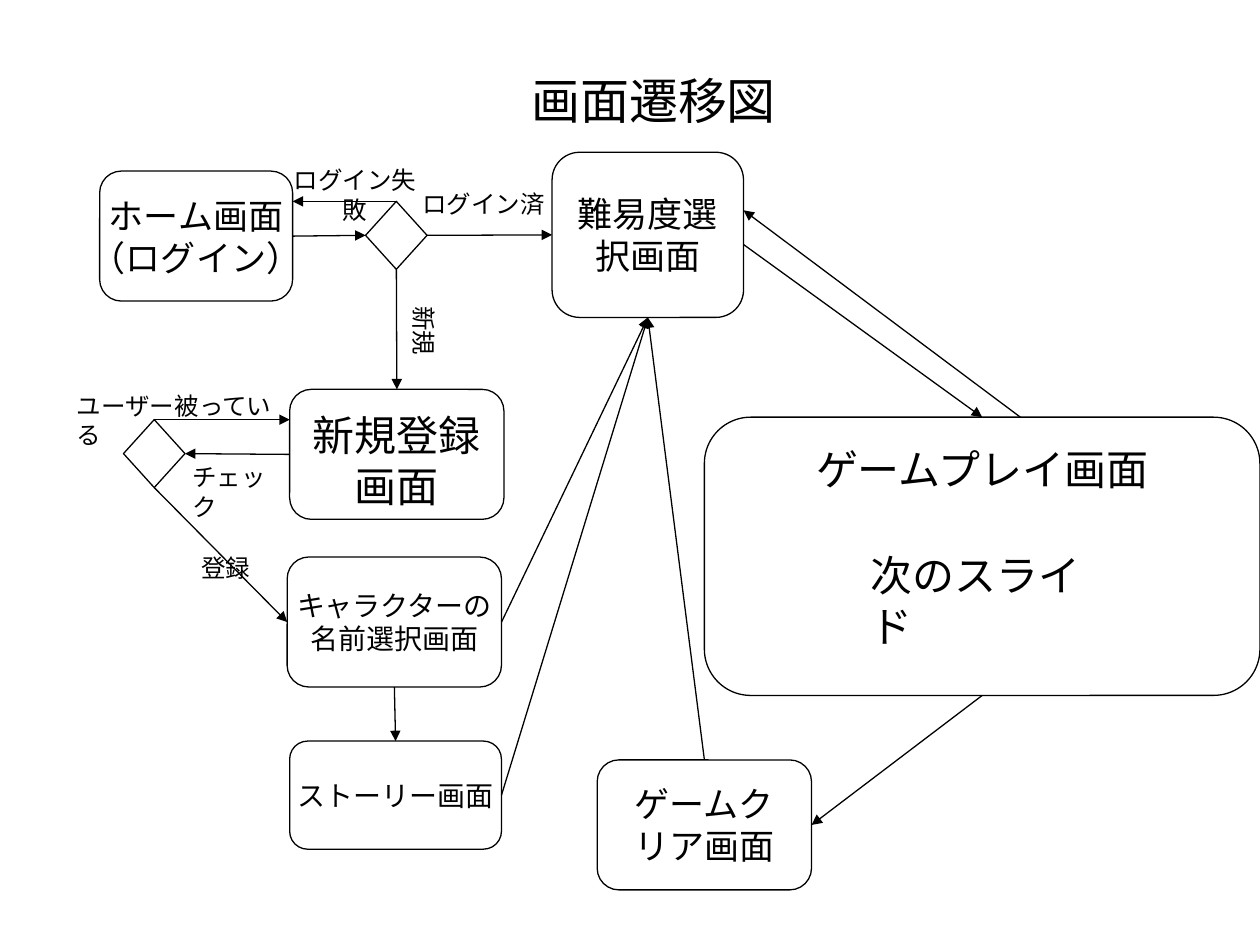
from typing import NamedTuple, Union

import pptx
import pptx.dml.color
import pptx.enum.shapes
import pptx.enum.text
import pptx.oxml
import pptx.oxml.ns
import pptx.util
from pptx.util import Cm

INK = "000000"
FONT = "Times New Roman"
ROUNDED = pptx.enum.shapes.MSO_SHAPE.ROUNDED_RECTANGLE
DIAMOND = pptx.enum.shapes.MSO_SHAPE.DIAMOND
ALIGN = pptx.enum.text.PP_ALIGN
ANCHOR = pptx.enum.text.MSO_ANCHOR
TOP, LEFT, BOTTOM, RIGHT = range(4)


class Area(NamedTuple):
    """Position and size in centimetres."""
    left: float
    top: float
    width: float
    height: float


class Screen(NamedTuple):
    area: Area
    text: str
    size: int
    wrap: bool = False
    anchor: ANCHOR = ANCHOR.MIDDLE
    side_inset: float = 0.25
    top_inset: float = 0.13


class Label(NamedTuple):
    area: Area
    text: str
    size: int = 14
    align: ALIGN = ALIGN.LEFT
    rotation: int = 0


class Joint(NamedTuple):
    """Middle of one side of a named node."""
    node: str
    side: int


class Point(NamedTuple):
    x: float
    y: float


class Link(NamedTuple):
    start: Union[Joint, Point]
    end: Union[Joint, Point]


SCREENS = {
    "home": Screen(Area(2.01, 3.45, 3.89, 2.62), "ホーム画面\n（ログイン）", 20),
    "difficulty": Screen(Area(11.13, 3.07, 3.86, 3.33), "難易度選択画面", 20, wrap=True),
    "register": Screen(Area(5.84, 7.85, 4.32, 2.62), "新規登録\n画面", 24, top_inset=0.36),
    "character": Screen(Area(5.79, 11.23, 4.32, 2.62), "キャラクターの\n名前選択画面", 16),
    "story": Screen(Area(5.84, 14.94, 4.27, 2.18), "ストーリー画面", 16),
    "play": Screen(Area(14.2, 8.41, 11.2, 5.61), "ゲームプレイ画面", 24, wrap=True,
                   anchor=ANCHOR.TOP, top_inset=0.25),
    "clear": Screen(Area(12.04, 15.32, 4.32, 2.62), "ゲームクリア画面", 20, wrap=True,
                    side_inset=0.5),
}
DECISIONS = {
    "login": Area(7.37, 4.06, 1.24, 1.37),
    "check": Area(2.49, 8.46, 1.24, 1.37),
}
LINKS = [
    Link(Joint("home", RIGHT), Joint("login", LEFT)),
    Link(Joint("login", TOP), Point(5.9, 4.06)),
    Link(Joint("login", RIGHT), Joint("difficulty", LEFT)),
    Link(Joint("login", BOTTOM), Joint("register", TOP)),
    Link(Joint("register", LEFT), Joint("check", RIGHT)),
    Link(Joint("check", TOP), Point(5.84, 8.46)),
    Link(Joint("check", BOTTOM), Joint("character", LEFT)),
    Link(Joint("character", BOTTOM), Joint("story", TOP)),
    Link(Joint("character", RIGHT), Joint("difficulty", BOTTOM)),
    Link(Joint("story", RIGHT), Joint("difficulty", BOTTOM)),
    Link(Joint("clear", TOP), Joint("difficulty", BOTTOM)),
    Link(Point(14.99, 4.93), Joint("play", TOP)),
    Link(Point(20.57, 8.41), Point(14.99, 4.24)),
    Link(Joint("play", BOTTOM), Joint("clear", RIGHT)),
]
LABELS = [
    Label(Area(5.51, 3.2, 3.3, 1.45), "ログイン失敗", align=ALIGN.CENTER),
    Label(Area(8.2, 3.68, 3.1, 0.86), "ログイン済", align=ALIGN.CENTER),
    Label(Area(7.72, 6.32, 1.65, 0.86), "新規", rotation=90),
    Label(Area(1.3, 7.75, 4.72, 1.45), "ユーザー被っている"),
    Label(Area(3.63, 9.19, 2.08, 1.45), "チェック"),
    Label(Area(3.81, 11.02, 1.8, 0.86), "登録"),
    Label(Area(17.3, 10.95, 5, 2.29), "次のスライド", size=24),
]


def color(value: str) -> pptx.dml.color.RGBColor:
    return pptx.dml.color.RGBColor.from_string(value)


def lengths(area: Area) -> list:
    return [Cm(value) for value in area]


def write(shape, text: str, *, size: int, align=ALIGN.LEFT, anchor=ANCHOR.TOP,
          wrap: bool = True, side_inset: float = 0.25, top_inset: float = 0.13) -> None:
    frame = shape.text_frame
    frame.text = text
    frame.auto_size = pptx.enum.text.MSO_AUTO_SIZE.NONE
    frame.word_wrap = wrap
    frame.vertical_anchor = anchor
    frame.margin_left = frame.margin_right = Cm(side_inset)
    frame.margin_top, frame.margin_bottom = Cm(top_inset), Cm(0.13)
    for paragraph in frame.paragraphs:
        paragraph.alignment = align
        paragraph.font.name = FONT
        paragraph.font.size = pptx.util.Pt(size)
        paragraph.font.color.rgb = color(INK)


def add_outline(slide, kind, area: Area):
    """Add an unfilled shape with a thin outline."""
    shape = slide.shapes.add_shape(kind, *lengths(area))
    shape.shadow.inherit = False
    shape.fill.background()
    shape.line.color.rgb = color(INK)
    shape.line.width = pptx.util.Pt(0.75)
    return shape


def add_screen(slide, screen: Screen):
    shape = add_outline(slide, ROUNDED, screen.area)
    write(shape, screen.text, size=screen.size, align=ALIGN.CENTER, anchor=screen.anchor,
          wrap=screen.wrap, side_inset=screen.side_inset, top_inset=screen.top_inset)
    return shape


def add_label(slide, label: Label) -> None:
    box = slide.shapes.add_textbox(*lengths(label.area))
    box.rotation = label.rotation
    write(box, label.text, size=label.size, align=label.align)


def add_link(slide, link: Link, nodes: dict) -> None:
    arrow = slide.shapes.add_connector(pptx.enum.shapes.MSO_CONNECTOR.STRAIGHT, 0, 0, 0, 0)
    if isinstance(link.start, Joint):
        arrow.begin_connect(nodes[link.start.node], link.start.side)
    else:
        arrow.begin_x, arrow.begin_y = Cm(link.start.x), Cm(link.start.y)
    if isinstance(link.end, Joint):
        arrow.end_connect(nodes[link.end.node], link.end.side)
    else:
        arrow.end_x, arrow.end_y = Cm(link.end.x), Cm(link.end.y)
    arrow.line.color.rgb = color(INK)
    arrow.line.width = pptx.util.Pt(0.75)
    head = pptx.oxml.parse_xml(
        f'<a:tailEnd {pptx.oxml.ns.nsdecls("a")} type="triangle" w="med" len="med"/>')
    arrow.line._get_or_add_ln().append(head)
    properties = arrow._element.spPr
    properties.append(pptx.oxml.parse_xml(f'<a:effectLst {pptx.oxml.ns.nsdecls("a")}/>'))


def main() -> None:
    deck = pptx.Presentation()
    deck.slide_width, deck.slide_height = Cm(25.4), Cm(19.05)
    slide = deck.slides.add_slide(deck.slide_layouts[5])

    title = slide.shapes.title
    title.left, title.top, title.width, title.height = lengths(Area(10.46, 1.3, 6.6, 1.45))
    write(title, "画面遷移図", size=28)

    nodes = {name: add_screen(slide, screen) for name, screen in SCREENS.items()}
    for name, area in DECISIONS.items():
        nodes[name] = add_outline(slide, DIAMOND, area)
    for link in LINKS:
        add_link(slide, link, nodes)
    for label in LABELS:
        add_label(slide, label)

    deck.save("out.pptx")


if __name__ == "__main__":
    main()
